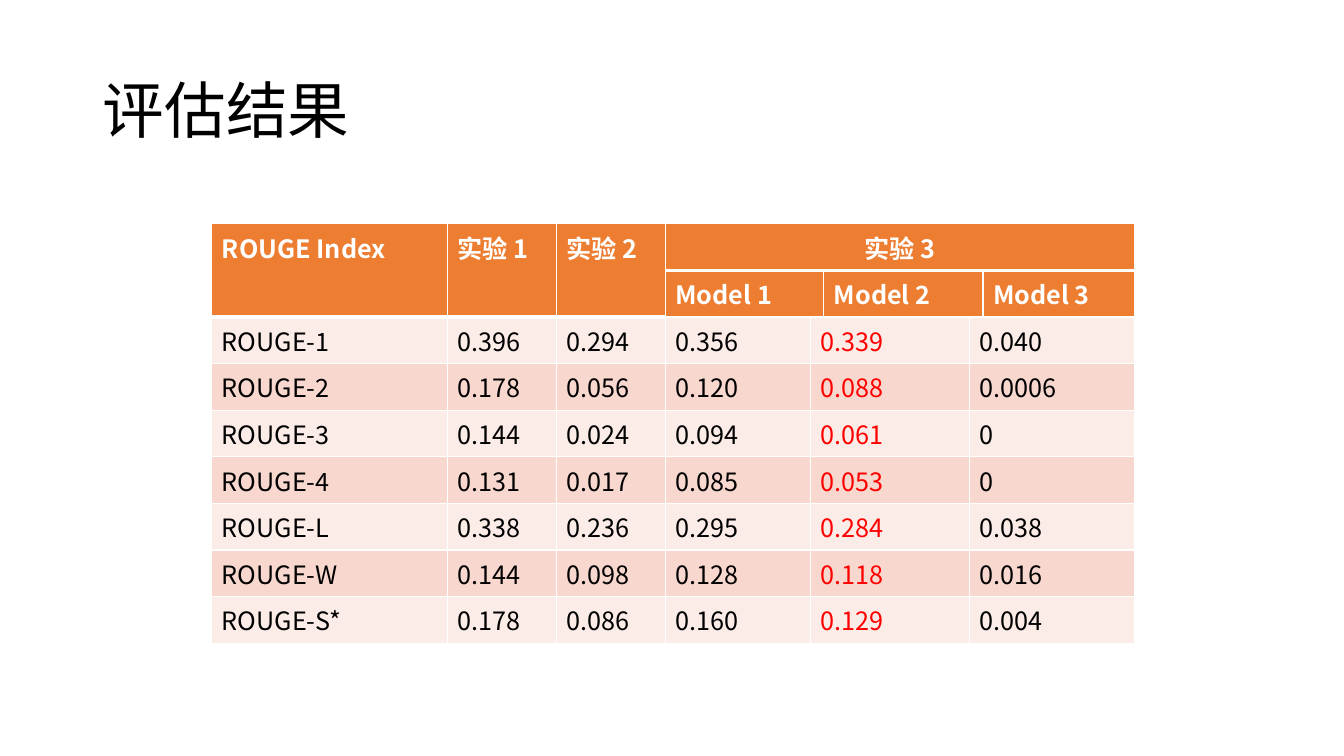
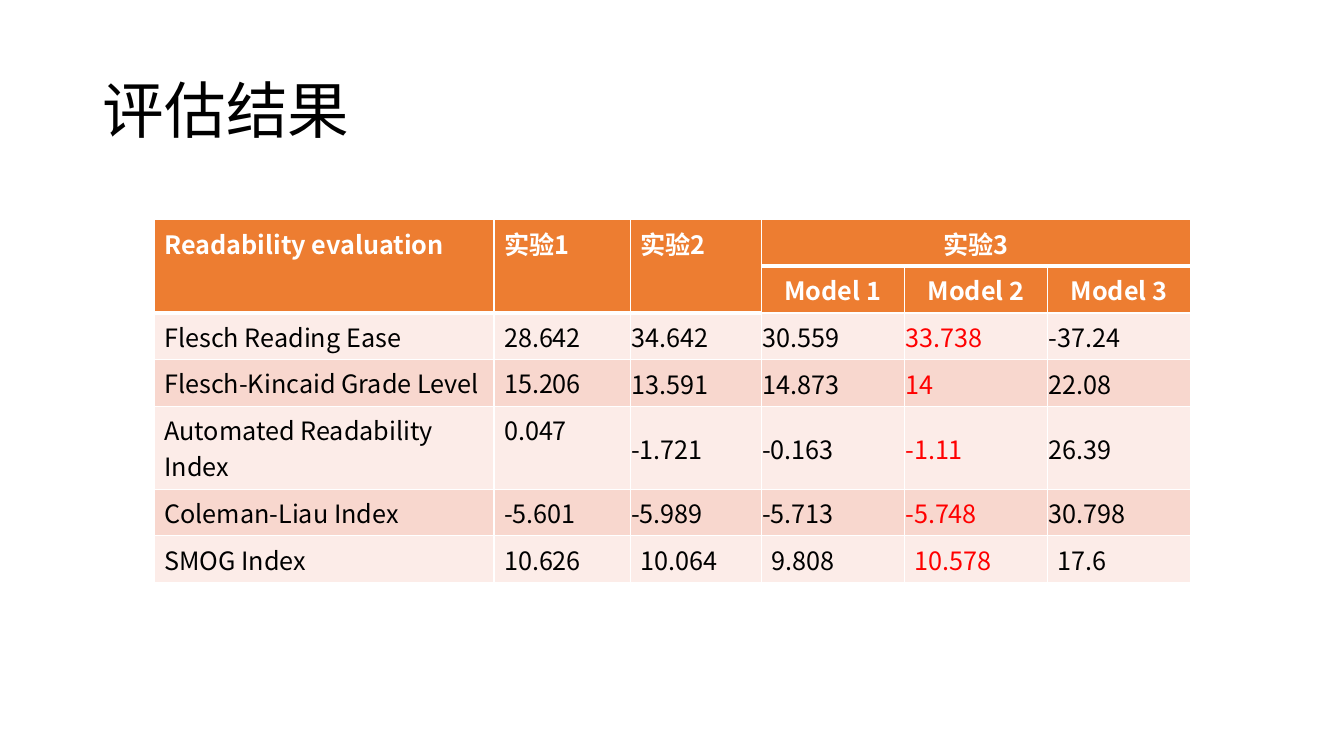
from lxml import etree
from pptx import Presentation
from pptx.dml.color import RGBColor
from pptx.enum.text import MSO_ANCHOR, PP_ALIGN
from pptx.oxml.ns import qn
from pptx.util import Inches, Pt

FONT = "Noto Sans CJK SC"
BLACK = RGBColor(0x00, 0x00, 0x00)
WHITE = RGBColor(0xFF, 0xFF, 0xFF)
RED = RGBColor(0xFF, 0x00, 0x00)
ORANGE = RGBColor(0xED, 0x7D, 0x31)
BANDS = [RGBColor(0xFC, 0xEC, 0xE8), RGBColor(0xF8, 0xD7, 0xCE)]

HEADER_ROWS = 2
FIRST_MODEL = 3
BEST_MODEL = 4
ROW_HEIGHT = 0.46
TIGHT = {
    "vertical_anchor": MSO_ANCHOR.MIDDLE,
    "margin_left": Inches(0.01),
    "margin_top": Inches(0.01),
    "margin_right": Inches(0.01),
    "margin_bottom": 0,
}

# "starts" lists the grid column in which each visible cell of a row begins.
RESULTS = [
    {
        "at": (2.1, 2.22),
        "widths": [2.34, 1.08, 1.08, 1.44, 0.13, 1.45, 0.13, 1.5],
        "header": ["ROUGE Index", "实验 1", "实验 2", "实验 3"],
        "model_starts": [3, 5, 7],
        "model_align": PP_ALIGN.LEFT,
        "starts": [0, 1, 2, 3, 4, 6],
        "tight_rows": 0,
        "scores": [
            ["ROUGE-1", "0.396", "0.294", "0.356", "0.339", "0.040"],
            ["ROUGE-2", "0.178", "0.056", "0.120", "0.088", "0.0006"],
            ["ROUGE-3", "0.144", "0.024", "0.094", "0.061", "0"],
            ["ROUGE-4", "0.131", "0.017", "0.085", "0.053", "0"],
            ["ROUGE-L", "0.338", "0.236", "0.295", "0.284", "0.038"],
            ["ROUGE-W", "0.144", "0.098", "0.128", "0.118", "0.016"],
            ["ROUGE-S*", "0.178", "0.086", "0.160", "0.129", "0.004"],
        ],
    },
    {
        "at": (1.53, 2.18),
        "widths": [3.37, 1.35, 1.3, 1.42, 1.42, 1.42],
        "header": ["Readability evaluation", "实验1", "实验2", "实验3"],
        "model_starts": [3, 4, 5],
        "model_align": PP_ALIGN.CENTER,
        "starts": [0, 1, 2, 3, 4, 5],
        "tight_rows": 4,
        "scores": [
            ["Flesch Reading Ease", "28.642", "34.642", "30.559", "33.738", "-37.24"],
            ["Flesch-Kincaid Grade Level", "15.206", "13.591", "14.873", "14", "22.08"],
            ["Automated Readability Index", "0.047", "-1.721", "-0.163", "-1.11", "26.39"],
            ["Coleman-Liau Index", "-5.601", "-5.989", "-5.713", "-5.748", "30.798"],
            ["SMOG Index", "10.626", "10.064", "9.808", "10.578", "17.6"],
        ],
    },
]


def set_typeface(properties):
    """Use FONT for both Latin and East Asian text."""
    for tag in ("a:latin", "a:ea"):
        for old in properties.findall(qn(tag)):
            properties.remove(old)
        etree.SubElement(properties, qn(tag), typeface=FONT)


def fill_cell(table, row, first, last, text, fill, color, bold=False,
              align=PP_ALIGN.LEFT, last_row=None, bottom=1):
    """Merge the given grid range into one cell, then write and format it."""
    cell = table.cell(row, first)
    last_row = last_row or row
    if (last_row, last) != (row, first):
        cell.merge(table.cell(last_row, last))
    cell_properties = cell._tc.get_or_add_tcPr()
    for side, points in (("lnL", 1), ("lnR", 1), ("lnT", 1), ("lnB", bottom)):
        border = etree.SubElement(cell_properties, qn("a:" + side), w=str(Pt(points)))
        paint = etree.SubElement(border, qn("a:solidFill"))
        etree.SubElement(paint, qn("a:srgbClr"), val=str(WHITE))
    cell.fill.solid()
    cell.fill.fore_color.rgb = fill
    paragraph = cell.text_frame.paragraphs[0]
    paragraph.alignment = align
    run = paragraph.add_run()
    run.text = text
    run.font.size = Pt(18)
    run.font.bold = bold
    run.font.color.rgb = color
    set_typeface(run.font._element)
    return cell


prs = Presentation()
prs.slide_width = Inches(13.33)
prs.slide_height = Inches(7.5)

title_style = prs.slide_master.element.find(".//" + qn("p:titleStyle"))
title_level = title_style.find(qn("a:lvl1pPr"))
title_level.set("algn", "l")
title_font = title_level.find(qn("a:defRPr"))
title_font.set("sz", "4400")
set_typeface(title_font)

layout = prs.slide_layouts.get_by_name("Title Only")
layout_title = layout.placeholders[0]
layout_title.left, layout_title.top = Inches(0.92), Inches(0.4)
layout_title.width, layout_title.height = Inches(11.5), Inches(1.45)
layout_title.text_frame.vertical_anchor = MSO_ANCHOR.MIDDLE

for result in RESULTS:
    slide = prs.slides.add_slide(layout)
    slide.shapes.title.text = "评估结果"
    slide.shapes.title.text_frame.paragraphs[0].line_spacing = 0.9

    widths = result["widths"]
    row_count = HEADER_ROWS + len(result["scores"])
    left, top = result["at"]
    table = slide.shapes.add_table(
        row_count, len(widths), Inches(left), Inches(top),
        Inches(sum(widths)), Inches(ROW_HEIGHT * row_count)).table
    for column, width in zip(table.columns, widths):
        column.width = Inches(width)
    for row in table.rows:
        row.height = Inches(ROW_HEIGHT)

    *tall_headers, model_header = result["header"]
    end = len(widths) - 1
    for column, text in enumerate(tall_headers):
        fill_cell(table, 0, column, column, text, ORANGE, WHITE, True,
                  last_row=HEADER_ROWS - 1, bottom=3)
    fill_cell(table, 0, FIRST_MODEL, end, model_header, ORANGE, WHITE, True,
              PP_ALIGN.CENTER, bottom=3)

    model_starts = result["model_starts"]
    model_ends = [start - 1 for start in model_starts[1:]] + [end]
    for number, (first, last) in enumerate(zip(model_starts, model_ends), 1):
        fill_cell(table, 1, first, last, f"Model {number}", ORANGE, WHITE, True,
                  result["model_align"])

    starts = result["starts"]
    ends = [start - 1 for start in starts[1:]] + [end]
    for index, scores in enumerate(result["scores"]):
        for position, (text, first, last) in enumerate(zip(scores, starts, ends)):
            color = RED if position == BEST_MODEL else BLACK
            cell = fill_cell(table, HEADER_ROWS + index, first, last, text,
                             BANDS[index % 2], color)
            if index < result["tight_rows"] and position >= 2:
                for attribute, value in TIGHT.items():
                    setattr(cell, attribute, value)

prs.save("out.pptx")
